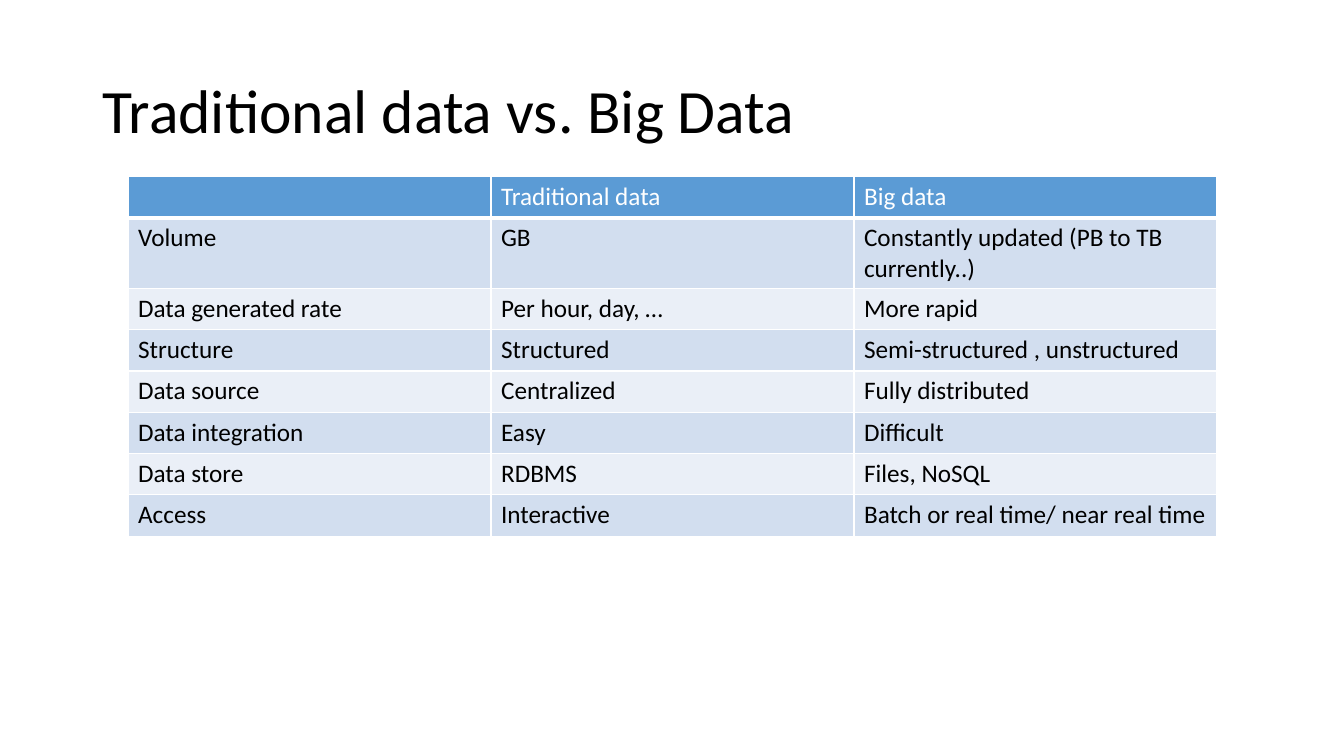
from dataclasses import dataclass

from lxml import etree
from pptx import Presentation
from pptx.dml.color import RGBColor
from pptx.enum.text import MSO_ANCHOR
from pptx.oxml.ns import qn
from pptx.slide import Slide
from pptx.table import _Cell
from pptx.text.text import TextFrame
from pptx.util import Inches, Pt

MIDDLE = MSO_ANCHOR.MIDDLE
FONT = "Calibri"
COLORS = {
    "text": "000000",
    "white": "FFFFFF",
    "header": "5B9BD5",
    "dark_band": "D2DEEF",
    "light_band": "EAEFF7",
}
COLUMN_WIDTH = 3.6
ROW_HEIGHT = 0.41


@dataclass
class Comparison:
    aspect: str
    traditional: str
    big: str


HEADER = Comparison("", "Traditional data", "Big data")
COMPARISONS = [
    Comparison("Volume", "GB", "Constantly updated (PB to TB currently..)"),
    Comparison("Data generated rate", "Per hour, day, …", "More rapid"),
    Comparison("Structure", "Structured", "Semi-structured , unstructured"),
    Comparison("Data source", "Centralized", "Fully distributed"),
    Comparison("Data integration", "Easy", "Difficult"),
    Comparison("Data store", "RDBMS", "Files, NoSQL"),
    Comparison("Access", "Interactive", "Batch or real time/ near real time"),
]


def write_text(frame: TextFrame, text: str, *, size: float = 18,
               color: str = "text", line_spacing: float = 1.0) -> None:
    para = frame.paragraphs[0]
    para.line_spacing = line_spacing
    para.font.size = Pt(size)
    if text:
        span = para.add_run()
        span.text = text
        span.font.name = FONT
        span.font.size = Pt(size)
        span.font.bold = False
        span.font.color.rgb = RGBColor.from_string(COLORS[color])


def set_borders(cell: _Cell, bottom_width: float) -> None:
    """Draw white borders, 1 pt on every side but the bottom."""
    properties = cell._tc.get_or_add_tcPr()
    widths = {"a:lnL": 1, "a:lnR": 1, "a:lnT": 1, "a:lnB": bottom_width}
    for tag, width in widths.items():
        line = etree.SubElement(properties, qn(tag), w=str(Pt(width)))
        fill = etree.SubElement(line, qn("a:solidFill"))
        etree.SubElement(fill, qn("a:srgbClr"), val=COLORS["white"])


def add_title(page: Slide, text: str) -> None:
    box = page.shapes.add_textbox(Inches(0.92), Inches(0.4), Inches(11.5), Inches(1.45))
    frame = box.text_frame
    frame.word_wrap = True
    frame.vertical_anchor = MIDDLE
    write_text(frame, text, size=44, line_spacing=0.9)


def add_comparison_table(page: Slide) -> None:
    rows = [HEADER, *COMPARISONS]
    table = page.shapes.add_table(
        len(rows), 3, Inches(1.27), Inches(1.75),
        Inches(3 * COLUMN_WIDTH), Inches(len(rows) * ROW_HEIGHT)).table
    for column in table.columns:
        column.width = Inches(COLUMN_WIDTH)
    for index, comparison in enumerate(rows):
        is_header = index == 0
        band = "header" if is_header else "dark_band" if index % 2 else "light_band"
        texts = (comparison.aspect, comparison.traditional, comparison.big)
        for cell, text in zip(table.rows[index].cells, texts):
            set_borders(cell, bottom_width=3 if is_header else 1)
            cell.fill.solid()
            cell.fill.fore_color.rgb = RGBColor.from_string(COLORS[band])
            write_text(cell.text_frame, text, color="white" if is_header else "text")


def main() -> None:
    deck = Presentation()
    deck.slide_width, deck.slide_height = Inches(13.33), Inches(7.5)
    page = deck.slides.add_slide(deck.slide_layouts[6])
    add_title(page, "Traditional data vs. Big Data")
    add_comparison_table(page)
    deck.save("out.pptx")


if __name__ == "__main__":
    main()
